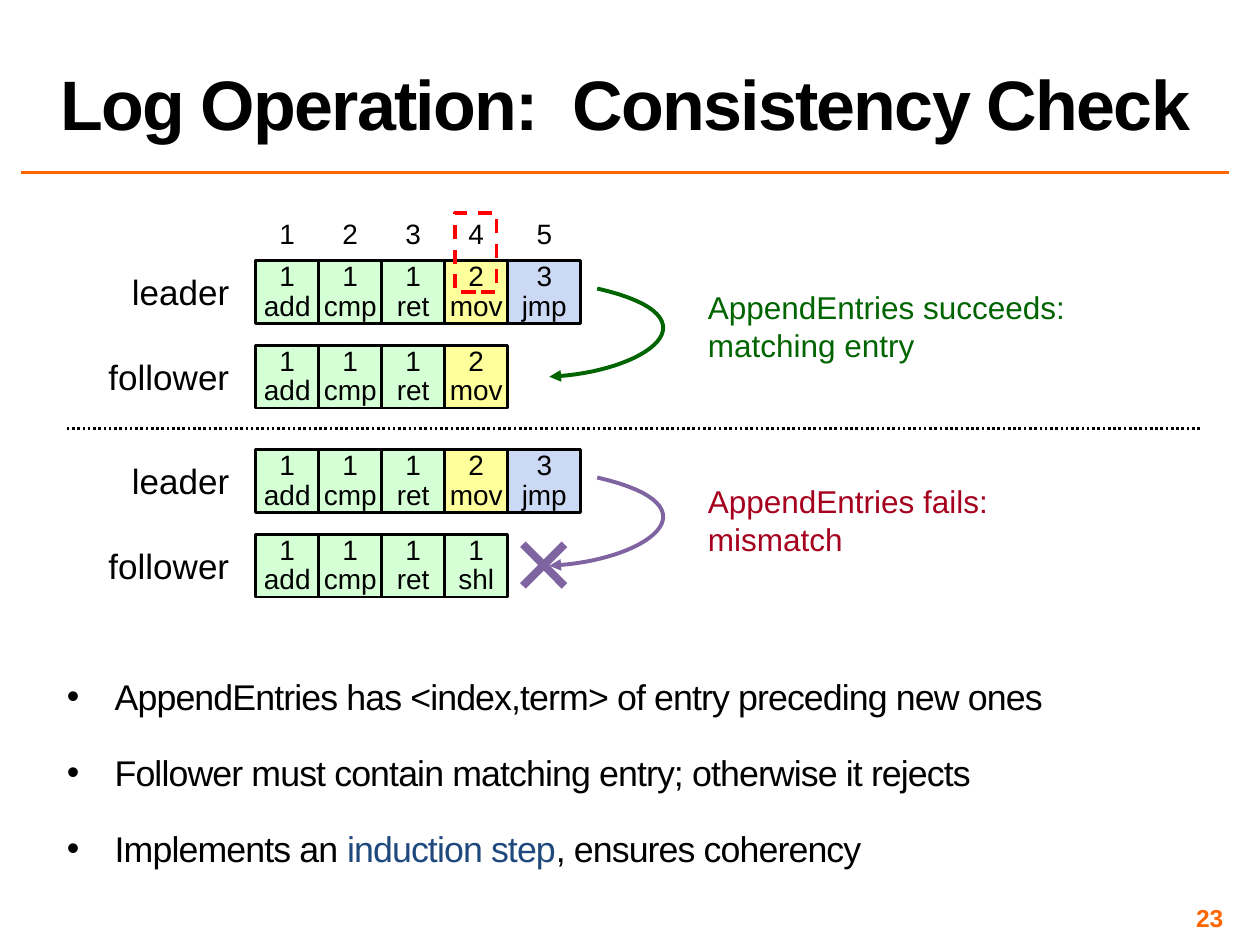
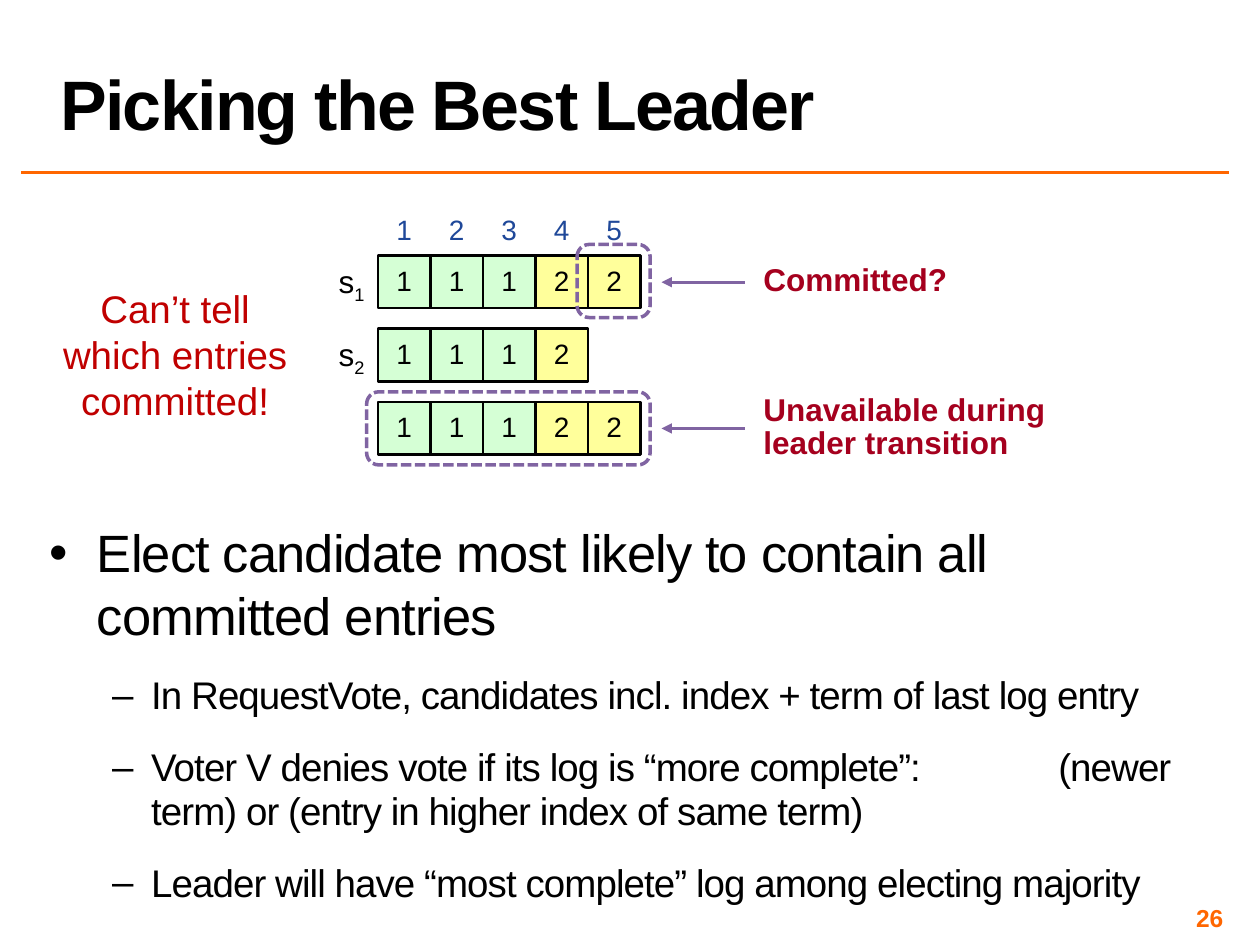
from lxml import etree
from pptx import Presentation, util as u
from pptx.dml.color import RGBColor
from pptx.enum import dml, shapes, text
from pptx.oxml.ns import qn

BLACK = RGBColor(0x00, 0x00, 0x00)
ORANGE = RGBColor(0xFF, 0x66, 0x00)
PURPLE = RGBColor(0x80, 0x64, 0xA2)
DARK_GREEN = RGBColor(0x00, 0x64, 0x00)
CRIMSON = RGBColor(0xA5, 0x00, 0x1E)
RED = RGBColor(0xFF, 0x00, 0x00)
WARNING_RED = RGBColor(0xC0, 0x00, 0x00)
INDEX_BLUE = RGBColor(0x1F, 0x48, 0x99)
TERM_BLUE = RGBColor(0x1F, 0x49, 0x7D)
TERM_FILLS = {
    "1": RGBColor(0xD5, 0xFF, 0xD5),
    "2": RGBColor(0xFF, 0xFF, 0x9B),
    "3": RGBColor(0xCC, 0xD9, 0xF4),
}
LEFT, CENTER, RIGHT = text.PP_ALIGN.LEFT, text.PP_ALIGN.CENTER, text.PP_ALIGN.RIGHT
TOP, MIDDLE, BOTTOM = text.MSO_ANCHOR.TOP, text.MSO_ANCHOR.MIDDLE, text.MSO_ANCHOR.BOTTOM
DASH, DOTS, SHORT_DASH = (dml.MSO_LINE.DASH, dml.MSO_LINE.ROUND_DOT,
                          dml.MSO_LINE.SQUARE_DOT)
STRAIGHT = shapes.MSO_CONNECTOR.STRAIGHT


def write(shape, lines, size, color=BLACK, bold=False, align=LEFT, spacing=1.0,
          anchor=TOP, inset=0, tracking=0):
    """Fill a shape with paragraphs; a line given as a list becomes several runs."""
    frame = shape.text_frame
    margins = {f"margin_{side}": u.Inches(inset)
               for side in ("left", "right", "top", "bottom")}
    for name, value in {"word_wrap": True, "auto_size": text.MSO_AUTO_SIZE.NONE,
                        "vertical_anchor": anchor, **margins}.items():
        setattr(frame, name, value)
    for number, line in enumerate(lines):
        paragraph = frame.add_paragraph() if number else frame.paragraphs[0]
        paragraph.alignment, paragraph.line_spacing = align, spacing
        if isinstance(line, str):
            paragraph.text = line
        else:
            for piece in line:
                paragraph.add_run().text = piece
        for run in paragraph.runs:
            for name, value in {"name": "Arial", "size": u.Pt(size), "bold": bold}.items():
                setattr(run.font, name, value)
            run.font.color.rgb = color
            if tracking:
                run.font._element.set("spc", str(int(tracking * 100)))
    return frame


def stroke(shape, color, width, dash=None, arrow=False):
    shape.line.color.rgb = color
    shape.line.width = u.Pt(width)
    if dash:
        shape.line.dash_style = dash
    properties = shape._element.spPr
    if arrow:
        etree.SubElement(properties.find(qn("a:ln")), qn("a:tailEnd"), type="triangle")
    etree.SubElement(properties, qn("a:effectLst"))


deck = Presentation()
deck.slide_width, deck.slide_height = u.Inches(10), u.Inches(7.5)

# Shared frame: title, rule and page number
pages = []
for heading, page_number in (("Log Operation:  Consistency Check", "23"),
                             ("Picking the Best Leader", "26")):
    slide = deck.slides.add_slide(deck.slide_layouts[5])
    title = slide.shapes.title
    title.left, title.top, title.width, title.height = map(u.Inches, (0.38, 0.02, 9.37, 1.17))
    frame = write(title, [heading], 40, bold=True, spacing=0.8, anchor=BOTTOM,
                  inset=0.05, tracking=-1)
    frame.margin_left = frame.margin_right = u.Inches(0.1)
    rule = slide.shapes.add_connector(STRAIGHT, *map(u.Inches, (0.17, 1.37, 9.75, 1.37)))
    stroke(rule, ORANGE, 2)
    folio = slide.shapes.add_textbox(*map(u.Inches, (7.42, 7.17, 2.33, 0.23)))
    write(folio, [page_number], 14, ORANGE, True, RIGHT, anchor=MIDDLE, inset=0.04)
    pages.append(slide)
check, picking = pages

# Log rows: entries in columns, filled by term
CHECK_LEFT, CHECK_CELL, CHECK_LAST = 2.03, 0.5, 0.58
CHECK_TOP, CASE_STEP, REPLICA_STEP = 2.07, 1.5, 0.67
PICK_LEFT, PICK_TOP, PICK_CELL, PICK_STEP = 3, 2.03, 5 / 12, 0.58
leader_log = ["1\vadd", "1\vcmp", "1\vret", "2\vmov", "3\vjmp"]
follower_logs = [leader_log[:4], leader_log[:3] + ["1\vshl"]]

log_rows = []
for case, follower_log in enumerate(follower_logs):
    for replica, entries in enumerate((leader_log, follower_log)):
        row_top = CHECK_TOP + case * CASE_STEP + replica * REPLICA_STEP
        log_rows.append((check, CHECK_LEFT, row_top, CHECK_CELL, CHECK_LAST, entries))
        role = check.shapes.add_textbox(*map(u.Inches, (0.7, row_top + 0.08, 1.12, 0.34)))
        write(role, [("leader", "follower")[replica]], 20, align=RIGHT)
for row, terms in enumerate(("11122", "1112", "11122")):
    log_rows.append((picking, PICK_LEFT, PICK_TOP + row * PICK_STEP, PICK_CELL, PICK_CELL, terms))

for slide, row_left, row_top, cell, last_cell, entries in log_rows:
    for column, entry in enumerate(entries):
        width = last_cell if column == 4 else cell
        box = slide.shapes.add_shape(
            shapes.MSO_SHAPE.RECTANGLE,
            *map(u.Inches, (row_left + column * cell, row_top, width, cell)))
        box.fill.solid()
        box.fill.fore_color.rgb = TERM_FILLS[entry[0]]
        stroke(box, BLACK, 1.5)
        write(box, [entry], 16, align=CENTER, spacing=u.Pt(17), anchor=MIDDLE)

for slide, row_left, top, cell, last_cell, color in (
        (check, CHECK_LEFT, 1.67, CHECK_CELL, CHECK_LAST, BLACK),
        (picking, PICK_LEFT, 1.64, PICK_CELL, PICK_CELL, INDEX_BLUE)):
    for column in range(5):
        width = last_cell if column == 4 else cell
        index = slide.shapes.add_textbox(
            *map(u.Inches, (row_left + column * cell, top, width, 0.37)))
        write(index, [str(column + 1)], 16, color, align=CENTER, inset=0.05)

# Outcome of each case: curved arrow and verdict
CURVE = ((4.74, 2.29), (5.75, 2.52), (5.12, 2.96), (4.36, 2.99))
CURVE_STEPS = 32
for case, (arrow_color, verdict_top, verdict_color, verdict) in enumerate((
        (DARK_GREEN, 2.24, DARK_GREEN, ["AppendEntries succeeds:", "matching entry"]),
        (PURPLE, 3.78, CRIMSON, ["AppendEntries fails:", "mismatch"]))):
    points = []
    for step in range(CURVE_STEPS + 1):
        t = step / CURVE_STEPS
        weights = ((1 - t) ** 3, 3 * t * (1 - t) ** 2, 3 * t ** 2 * (1 - t), t ** 3)
        x, y = (sum(w * point[axis] for w, point in zip(weights, CURVE)) for axis in (0, 1))
        points.append((u.Inches(x), u.Inches(y + case * CASE_STEP)))
    outline = check.shapes.build_freeform(*points[0])
    outline.add_line_segments(points[1:], close=False)
    curve = outline.convert_to_shape()
    curve.fill.background()
    stroke(curve, arrow_color, 2.25, arrow=True)
    note = check.shapes.add_textbox(*map(u.Inches, (5.52, verdict_top, 3.06, 0.71)))
    frame = write(note, verdict, 18, verdict_color, inset=0.05)
    frame.margin_left = u.Inches(0.1)

# Divider, rejection cross and the arrows to the remarks
for slide, ends, color, width, dash, arrow in (
        (check, (0.53, 3.4, 9.53, 3.4), BLACK, 1.5, DOTS, False),
        (check, (4.15, 4.32, 4.48, 4.65), PURPLE, 4.5, None, False),
        (check, (4.15, 4.65, 4.48, 4.32), PURPLE, 4.5, None, False),
        (picking, (5.91, 2.24, 5.25, 2.24), PURPLE, 1.5, None, True),
        (picking, (5.91, 3.4, 5.25, 3.4), PURPLE, 1.5, None, True)):
    line = slide.shapes.add_connector(STRAIGHT, *map(u.Inches, ends))
    stroke(line, color, width, dash, arrow)

# Dashed highlights around entries
for slide, preset, area, color, dash in (
        (check, shapes.MSO_SHAPE.RECTANGLE, (3.61, 1.69, 0.33, 0.63), RED, DASH),
        (picking, shapes.MSO_SHAPE.ROUNDED_RECTANGLE, (4.58, 1.94, 0.58, 0.58),
         PURPLE, SHORT_DASH),
        (picking, shapes.MSO_SHAPE.ROUNDED_RECTANGLE, (2.91, 3.11, 2.25, 0.58),
         PURPLE, SHORT_DASH)):
    highlight = slide.shapes.add_shape(preset, *map(u.Inches, area))
    highlight.fill.background()
    stroke(highlight, color, 2, dash)

# Remarks and server names beside the candidate logs
for top, height, remark in ((2.1, 0.27, "Committed?"),
                            (3.13, 0.53, "Unavailable during leader transition")):
    note = picking.shapes.add_textbox(*map(u.Inches, (6.06, top, 2.77, height)))
    write(note, [remark], 18, CRIMSON, True, spacing=u.Pt(19))
warning = picking.shapes.add_textbox(*map(u.Inches, (0.32, 2.21, 2.14, 1.21)))
write(warning, ["Can’t tell which entries committed!"], 22, WARNING_RED,
      align=CENTER, inset=0.05)
for row, number in enumerate("12"):
    server = picking.shapes.add_textbox(
        *map(u.Inches, (2.58, PICK_TOP + 0.05 + row * PICK_STEP, 0.42, 0.3)))
    frame = write(server, [["s", number]], 18, align=CENTER)
    frame.paragraphs[0].runs[1].font._element.set("baseline", "-25000")

# Bullet lists
check_points = [
    "AppendEntries has <index,term> of entry preceding new ones",
    "Follower must contain matching entry; otherwise it rejects",
    ["Implements an ", "induction step", ", ensures coherency"],
]
picking_points = [
    "Elect candidate most likely to contain all committed entries",
    "In RequestVote, candidates incl. index + term of last log entry",
    "Voter V denies vote if its log is “more complete”:\t(newer term) or "
    "(entry in higher index of same term)",
    "Leader will have “most complete” log among electing majority",
]
TAB_STOP = 8.01
for slide, area, points, size, spacing, gap in (
        (check, (0.49, 5.38, 9.26, 1.6), check_points, 20.4, 0.8, 16),
        (picking, (0.35, 4.09, 9.4, 3.15), picking_points, 22, 0.95, 8)):
    body = slide.shapes.add_textbox(*map(u.Inches, area))
    frame = write(body, points, size, spacing=spacing, inset=0.04, tracking=-0.5)
    for number, paragraph in enumerate(frame.paragraphs):
        nested = slide is picking and number > 0
        margin, hang, mark = (0.81, 0.31, "–") if nested else (0.38, 0.38, "•")
        properties = paragraph._p.get_or_add_pPr()
        properties.set("marL", str(u.Inches(margin)))
        properties.set("indent", str(-u.Inches(hang)))
        etree.SubElement(properties, qn("a:buFont"), typeface="Arial")
        etree.SubElement(properties, qn("a:buChar"), char=mark)
        if "\t" in paragraph.text:
            stops = etree.SubElement(properties, qn("a:tabLst"))
            etree.SubElement(stops, qn("a:tab"), pos=str(u.Inches(TAB_STOP)), algn="l")
        paragraph.level = int(nested)
        paragraph.space_before = u.Pt(gap if number else 0)
        paragraph.space_after = u.Pt(8)
    if slide is check:
        frame.paragraphs[2].runs[1].font.color.rgb = TERM_BLUE
    else:
        frame.paragraphs[0].line_spacing = 1.0
        frame.paragraphs[0].runs[0].font.size = u.Pt(30)

deck.save("out.pptx")
